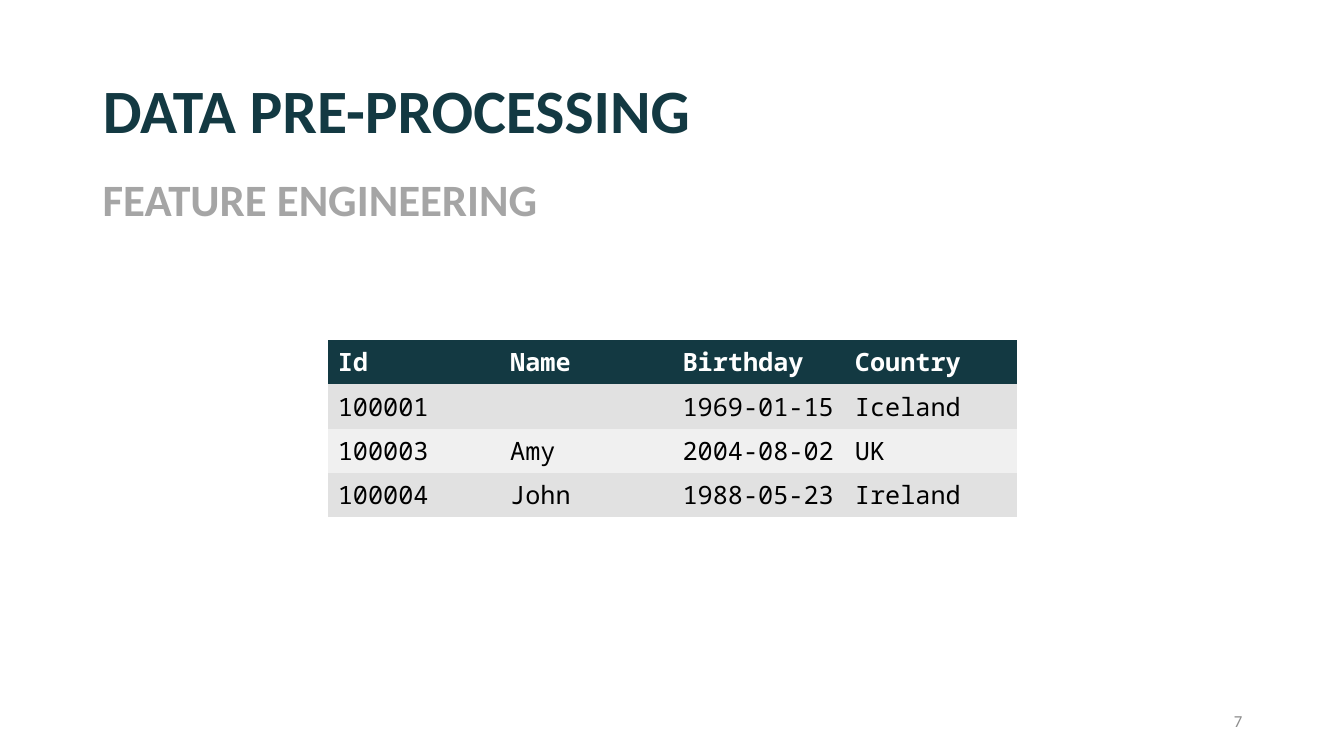
"""Build the feature engineering slide with its sample records table."""
from dataclasses import dataclass
from typing import Any

from pptx import Presentation
from pptx import util as u
from pptx.dml import color
from pptx.enum import text
from pptx.oxml import ns

COLORS = {
    "teal": "133942",
    "subtitle": "A5A5A5",
    "number": "8C8C8C",
    "white": "FFFFFF",
    "black": "000000",
    "odd": "E1E1E1",
    "even": "F0F0F0",
}
RECORDS = [
    ("Id", "Name", "Birthday", "Country"),
    ("100001", "", "1969-01-15", "Iceland"),
    ("100003", "Amy", "2004-08-02", "UK"),
    ("100004", "John", "1988-05-23", "Ireland"),
]
COLUMN_WIDTH, ROW_HEIGHT = 1.71, 0.41
PLAIN_TABLE_STYLE = "{2D5ABB26-0587-4C30-8999-92F81FD0307C}"


@dataclass(frozen=True)
class Style:
    """Format of a run of text."""
    size: float
    color: str
    bold: bool = False
    name: str = "Calibri"


@dataclass(frozen=True)
class Label:
    """Line of text with its place and format."""
    words: str
    place: tuple[float, float, float, float]
    style: Style
    anchor: Any = text.MSO_ANCHOR.MIDDLE
    align: Any = text.PP_ALIGN.LEFT


HEADING = Label("DATA PRE-PROCESSING", (0.92, 0.4, 11.5, 1.45), Style(44, "teal", True))
LABELS = [
    Label("7", (9.42, 6.95, 3, 0.4), Style(12, "number"), align=text.PP_ALIGN.RIGHT),
    Label("FEATURE ENGINEERING", (0.92, 1.65, 5.75, 0.64), Style(32, "subtitle", True),
          anchor=text.MSO_ANCHOR.TOP),
]
HEADER_STYLE = Style(18, "white", True, "Noto Sans Mono")
RECORD_STYLE = Style(18, "black", False, "Noto Sans Mono")


def write(paragraph: Any, words: str, style: Style) -> None:
    """Add a formatted run to a paragraph."""
    run = paragraph.add_run()
    run.text = words
    formats = {"size": u.Pt(style.size), "bold": style.bold, "name": style.name}
    for attribute, value in formats.items():
        setattr(run.font, attribute, value)
    run.font.color.rgb = color.RGBColor.from_string(COLORS[style.color])


def fill_label(shape: Any, label: Label) -> None:
    """Place a shape and write its label."""
    for side, length in zip(("left", "top", "width", "height"), label.place):
        setattr(shape, side, u.Inches(length))
    frame = shape.text_frame
    formats = {"word_wrap": True, "auto_size": text.MSO_AUTO_SIZE.NONE,
               "vertical_anchor": label.anchor}
    for attribute, value in formats.items():
        setattr(frame, attribute, value)
    line = frame.paragraphs[0]
    line.alignment = label.align
    write(line, label.words, label.style)


def add_records(slide: Any) -> None:
    """Add the table of records with banded rows."""
    rows, columns = len(RECORDS), len(RECORDS[0])
    holder = slide.shapes.add_table(
        rows, columns, u.Inches(3.25), u.Inches(3.37),
        u.Inches(columns * COLUMN_WIDTH), u.Inches(rows * ROW_HEIGHT))
    for style_id in holder.element.iter(ns.qn("a:tableStyleId")):
        style_id.text = PLAIN_TABLE_STYLE
    records = holder.table
    for column in records.columns:
        column.width = u.Inches(COLUMN_WIDTH)
    for index, (row, record) in enumerate(zip(records.rows, RECORDS)):
        row.height = u.Inches(ROW_HEIGHT)
        band = "teal" if index == 0 else ("even", "odd")[index % 2]
        style = HEADER_STYLE if index == 0 else RECORD_STYLE
        for cell, words in zip(row.cells, record):
            cell.fill.solid()
            cell.fill.fore_color.rgb = color.RGBColor.from_string(COLORS[band])
            if words:
                write(cell.text_frame.paragraphs[0], words, style)


def main() -> None:
    """Build and save the slide."""
    deck = Presentation()
    deck.slide_width, deck.slide_height = u.Inches(13.33), u.Inches(7.5)
    slide = deck.slides.add_slide(deck.slide_layouts.get_by_name("Title Only"))
    heading = slide.shapes.title
    fill_label(heading, HEADING)
    heading.text_frame.paragraphs[0].line_spacing = 0.9
    for label in LABELS:
        box = slide.shapes.add_textbox(*map(u.Inches, label.place))
        fill_label(box, label)
    add_records(slide)
    deck.save("out.pptx")


if __name__ == "__main__":
    main()
